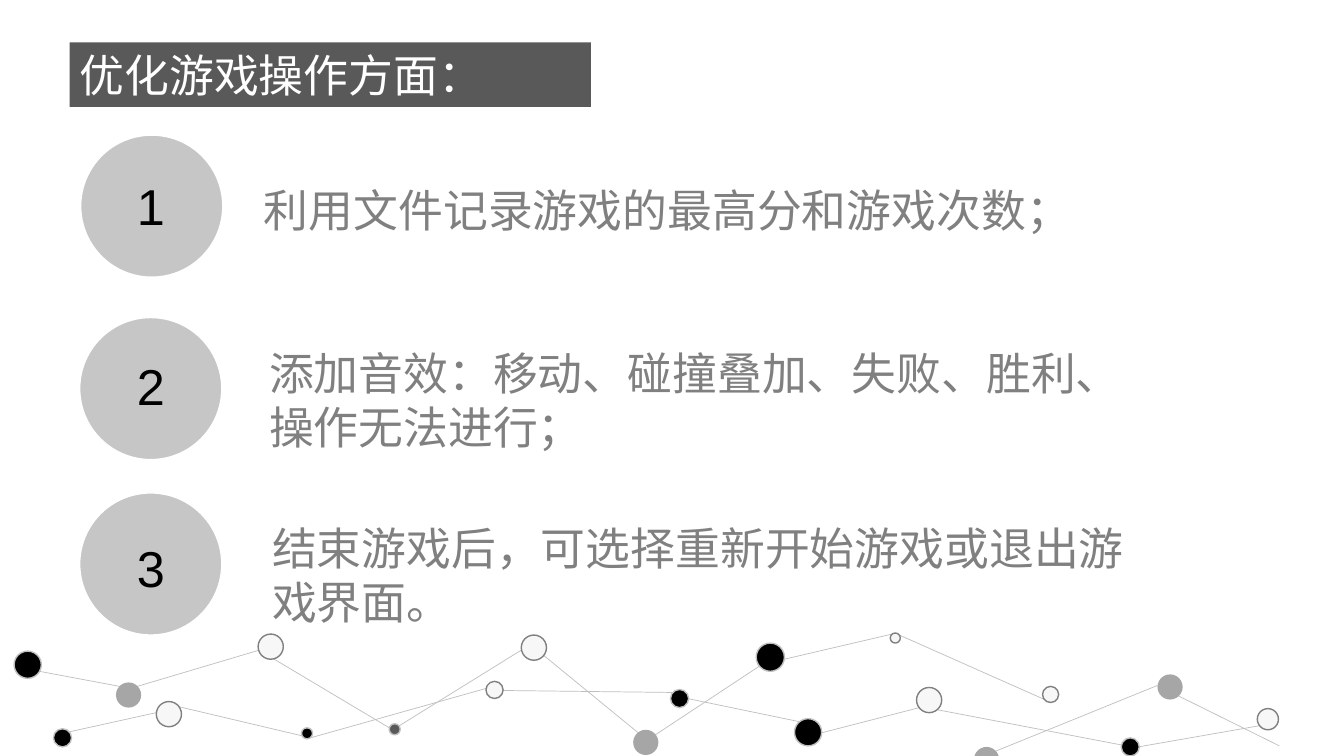
from pptx import Presentation
from pptx.dml.color import RGBColor
from pptx.enum import shapes, text
from pptx.oxml import ns, xmlchemy
from pptx.util import Inches, Pt

COLORS = {"banner": "595959", "white": "FFFFFF", "badge": "C6C6C6", "body": "808080",
          "black": "000000", "pale": "F7F7F7", "grey": "A6A6A6", "link": "BFBFBF"}
CJK, LATIN = "Noto Sans CJK SC", "Arial"

TITLE = "优化游戏操作方面："
# wording, text left, text top, text height, badge left, badge top, number top
ITEMS = [
    ("利用文件记录游戏的最高分和游戏次数；", 2.52, 1.76, 0.64, 0.8, 1.34, 1.69),
    ("添加音效：移动、碰撞叠加、失败、胜利、操作无法进行；", 2.57, 3.38, 1.18, 0.79, 3.15, 3.47),
    ("结束游戏后，可选择重新开始游戏或退出游戏界面。", 2.6, 5.12, 1.18, 0.79, 4.89, 5.28),
]
BADGE_SIZE = 1.41

# (fill, outline): left, top, diameter
DOTS = {
    ("black", "link"): [
        (0.53, 7.23, 0.18), (7.88, 7.13, 0.27), (6.65, 6.84, 0.18), (2.99, 7.22, 0.11),
        (11.12, 7.32, 0.18), (0.14, 6.46, 0.27), (7.5, 6.38, 0.28)],
    ("pale", "body"): [
        (1.55, 6.96, 0.25), (9.09, 6.82, 0.25), (4.82, 6.76, 0.17), (12.47, 7.03, 0.21),
        (5.17, 6.3, 0.25), (2.56, 6.29, 0.25), (8.83, 6.28, 0.1), (10.34, 6.81, 0.16)],
    ("grey", None): [
        (9.66, 7.41, 0.25), (6.28, 7.24, 0.25), (11.48, 6.69, 0.25), (1.15, 6.77, 0.25)],
    ("banner", "link"): [(3.86, 7.18, 0.11)],
}
# from x, from y, to x, to y
LINKS = [
    (1.77, 7.01, 3.08, 7.32), (4.99, 6.85, 6.67, 6.87), (7.93, 7.16, 6.82, 6.93),
    (8.15, 7.27, 9.12, 7.02), (3.08, 7.32, 4.82, 6.83), (12.49, 7.2, 11.29, 7.41),
    (9.29, 7.04, 11.12, 7.39), (0.69, 7.26, 1.55, 7.07), (12.69, 7.4, 11.68, 6.9),
    (8.85, 6.29, 7.78, 6.54), (0.39, 6.66, 1.19, 6.81), (2.72, 6.54, 3.86, 7.22),
    (5.17, 6.45, 3.96, 7.2), (2.57, 6.45, 1.36, 6.81), (7.53, 6.61, 6.5, 7.29),
    (5.39, 6.5, 6.33, 7.27), (10.36, 6.94, 8.92, 6.3), (9.88, 7.45, 11.48, 6.8),
]


def rgb(name):
    return RGBColor.from_string(COLORS[name])


def write(box, wording, size, font, color):
    frame = box.text_frame
    frame.text = wording
    frame.word_wrap = True
    frame.auto_size = text.MSO_AUTO_SIZE.NONE
    frame.vertical_anchor = text.MSO_ANCHOR.TOP
    para = frame.paragraphs[0]
    para.alignment = text.PP_ALIGN.LEFT
    para.font.size = Pt(size)
    para.font.name = font
    para.font.color.rgb = rgb(color)
    defaults = para._p.pPr.find(ns.qn("a:defRPr"))
    east_asian = xmlchemy.OxmlElement("a:ea")
    east_asian.set("typeface", font)
    defaults.append(east_asian)


def add_text(page, area, *style):
    write(page.shapes.add_textbox(*map(Inches, area)), *style)


def add_circle(page, left, top, size, fill, outline):
    circle = page.shapes.add_shape(shapes.MSO_SHAPE.OVAL,
                                   *map(Inches, (left, top, size, size)))
    circle.shadow.inherit = False
    circle.fill.solid()
    circle.fill.fore_color.rgb = rgb(fill)
    if outline:
        circle.line.color.rgb = rgb(outline)
        circle.line.width = Pt(1)
    else:
        circle.line.fill.background()


def add_link(page, ends):
    link = page.shapes.add_connector(shapes.MSO_CONNECTOR.STRAIGHT, *map(Inches, ends))
    link.line.color.rgb = rgb("link")
    link.line.width = Pt(0.5)
    link._element.spPr.append(xmlchemy.OxmlElement("a:effectLst"))


def main():
    deck = Presentation()
    deck.slide_width, deck.slide_height = Inches(13.33), Inches(7.5)
    page = deck.slides.add_slide(deck.slide_layouts[5])

    banner = page.shapes.title
    banner.left, banner.top, banner.width, banner.height = map(Inches, (0.69, 0.42, 5.17, 0.64))
    banner.fill.solid()
    banner.fill.fore_color.rgb = rgb("banner")
    write(banner, TITLE, 32, CJK, "white")

    for ends in LINKS:
        add_link(page, ends)
    for (fill, outline), dots in DOTS.items():
        for dot in dots:
            add_circle(page, *dot, fill, outline)

    for number, item in enumerate(ITEMS, 1):
        wording, left, top, height, badge_left, badge_top, number_top = item
        add_circle(page, badge_left, badge_top, BADGE_SIZE, "badge", "white")
        add_text(page, (1.26, number_top, 0.62, 0.71), str(number), 36, LATIN, "black")
        add_text(page, (left, top, 8.83, height), wording, 32, CJK, "body")

    deck.save("out.pptx")


if __name__ == "__main__":
    main()
